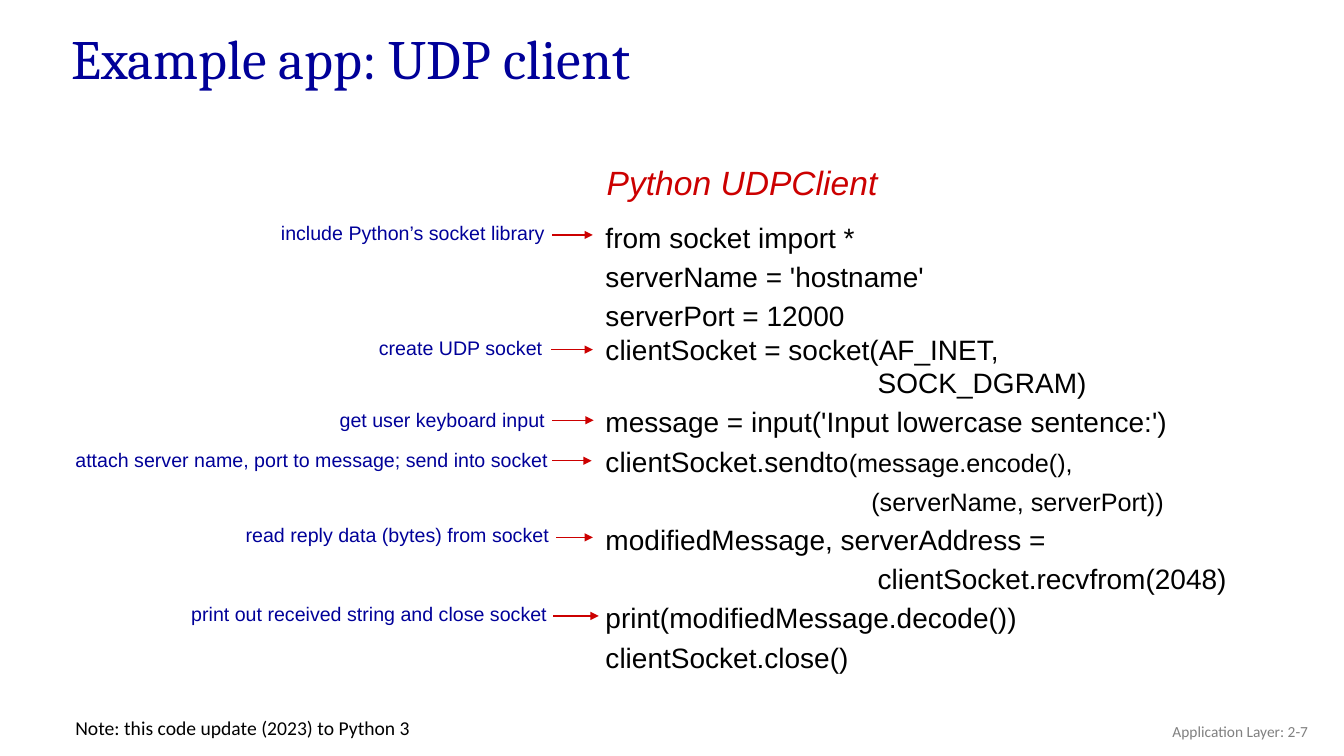
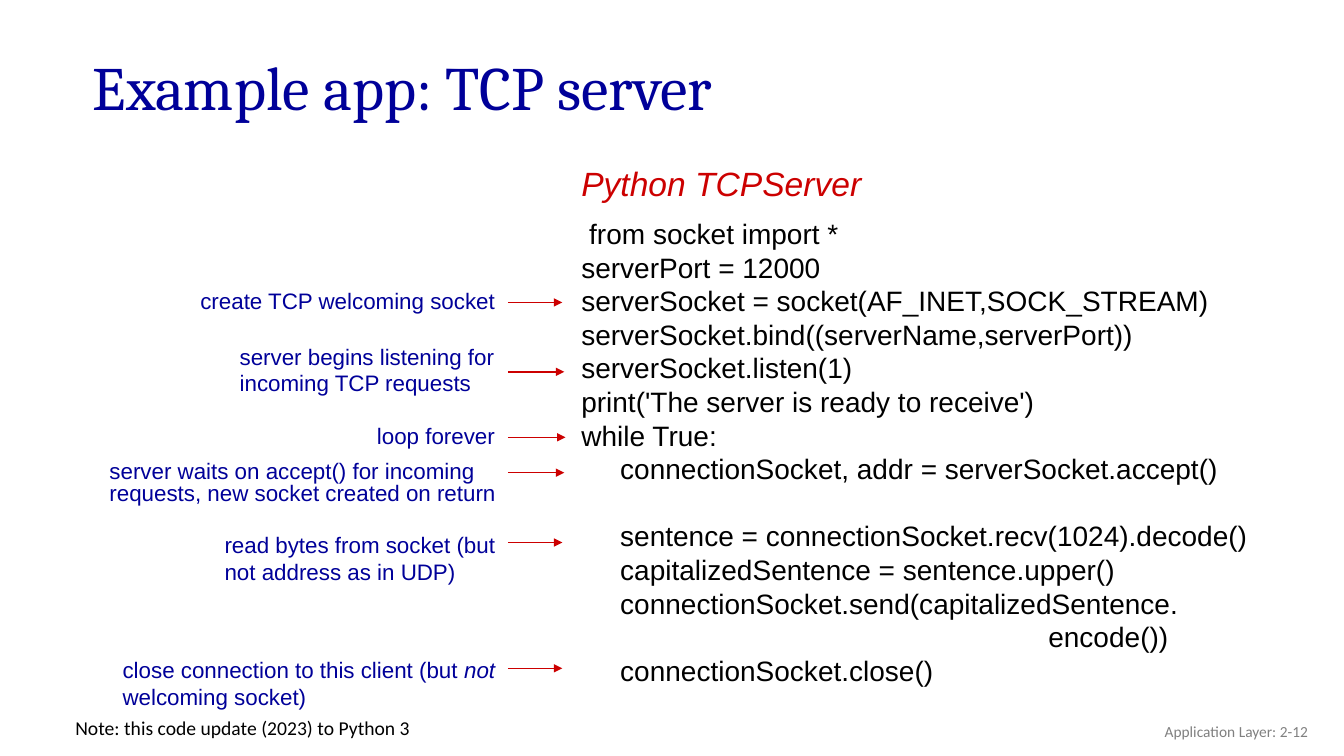
from lxml.etree import SubElement
from pptx import Presentation
from pptx.dml.color import RGBColor
from pptx.enum.shapes import MSO_CONNECTOR
from pptx.enum.text import MSO_ANCHOR, PP_ALIGN
from pptx.oxml.ns import qn
from pptx.util import Cm, Pt

BLUE = RGBColor(0x00, 0x00, 0x99)
RED = RGBColor(0xCC, 0x00, 0x00)
BLACK = RGBColor(0x00, 0x00, 0x00)
GRAY = RGBColor(0x80, 0x80, 0x80)
INSET = 0.25
CODE_SIZE = 20
WIDE_INDENT = 6.86
BLOCK_INDENT = 0.98

# Code line: runs of (text, size), left indent in cm, line spacing, space before in points
# Note: runs of (text, italic), left, top, arrow height, arrow start and end in cm, line spacing
SLIDES = [
    {
        "title": ("Example app: UDP client", 1.8, 0.61, 39.6),
        "heading": ("Python UDPClient", 15.04, 3.96),
        "page": "2-7",
        "code_at": (15.01, 5.28, 16.6, 11.86),
        "code": [
            ([("from socket import *", CODE_SIZE)], 0, 28, 0),
            ([("serverName = 'hostname'", CODE_SIZE)], 0, 28, 0),
            ([("serverPort = 12000", CODE_SIZE)], 0, 28, 0),
            ([("clientSocket = socket(AF_INET,", CODE_SIZE)], 0, 24, 0),
            ([("SOCK_DGRAM)", CODE_SIZE)], WIDE_INDENT, 24, 0),
            ([("message = input('Input lowercase sentence:')", CODE_SIZE)], 0, 28, 0),
            ([("clientSocket.sendto", CODE_SIZE), ("(message.encode(),", 18)], 0, 28, 0),
            ([("(serverName, serverPort))", 18)], 6.7, 28, 0),
            ([("modifiedMessage, serverAddress =", CODE_SIZE)], 0, 28, 0),
            ([("clientSocket.recvfrom(2048)", CODE_SIZE)], WIDE_INDENT, 28, 0),
            ([("print(modifiedMessage.decode())", CODE_SIZE)], 0, 28, 0),
            ([("clientSocket.close()", CODE_SIZE)], 0, 28, 0),
        ],
        "note_size": 14,
        "notes": [
            ([("include Python’s socket library", False)], 6.83, 5.46, 5.92, 13.92, 14.94, 16),
            ([("create UDP socket", False)], 9.3, 8.33, 8.81, 13.89, 14.94, None),
            ([("get user keyboard input", False)], 8.31, 10.19, 10.59, 13.92, 14.96, 16),
            ([("attach server name, port to message; send into socket", False)],
             1.65, 11.15, 11.61, 13.92, 14.91, None),
            ([("read reply data (bytes) from socket", False)],
             5.94, 13.06, 13.54, 14.02, 14.94, None),
            ([("print out received string and close socket", False)],
             4.57, 15.04, 15.52, 13.94, 15.09, None),
        ],
    },
    {
        "title": ("Example app: TCP server", 2.34, 1.24, 44),
        "heading": ("Python TCPServer", 14.4, 3.99),
        "page": "2-12",
        "code_at": (14.4, 5.33, 17.8, 12.22),
        "code": [
            ([("from socket import *", CODE_SIZE)], 0.2, None, 0),
            ([("serverPort = 12000", CODE_SIZE)], 0, None, 0),
            ([("serverSocket = socket(AF_INET,SOCK_STREAM)", CODE_SIZE)], 0, None, 0),
            ([("serverSocket.bind((serverName,serverPort))", CODE_SIZE)], 0, None, 0),
            ([("serverSocket.listen(1)", CODE_SIZE)], 0, None, 0),
            ([("print('The server is ready to receive')", CODE_SIZE)], 0, None, 0),
            ([("while True:", CODE_SIZE)], 0, None, 0),
            ([("connectionSocket, addr = serverSocket.accept()", CODE_SIZE)],
             BLOCK_INDENT, None, 0),
            ([("sentence = connectionSocket.recv(1024).decode()", CODE_SIZE)],
             BLOCK_INDENT, None, 24),
            ([("capitalizedSentence = sentence.upper()", CODE_SIZE)], BLOCK_INDENT, None, 0),
            ([("connectionSocket.send(capitalizedSentence.", CODE_SIZE)],
             BLOCK_INDENT, None, 0),
            ([("encode())", CODE_SIZE)], 11.77, None, 0),
            ([("connectionSocket.close()", CODE_SIZE)], BLOCK_INDENT, None, 0),
        ],
        "note_size": 16,
        "notes": [
            ([("create TCP welcoming socket", False)], 4.8, 7.11, 7.62, 12.8, 14.17, None),
            ([("server begins listening for incoming TCP requests", False)],
             5.79, 8.51, 9.37, 12.8, 14.22, None),
            ([("loop forever", False)], 9.25, 10.62, 11.02, 12.8, 14.25, 16),
            ([("server waits on accept() for incoming requests, "
               "new socket created on return", False)],
             2.51, 11.51, 11.91, 12.8, 14.22, 16),
            ([("read bytes from socket (but not address as in UDP)", False)],
             5.41, 13.26, 13.67, 12.8, 14.17, None),
            ([("close connection to this client (but ", False), ("not", True),
              (" welcoming socket)", False)],
             2.84, 16.41, 16.84, 12.8, 14.17, None),
        ],
    },
]


def add_text_frame(slide, left, top, width, height):
    text_frame = slide.shapes.add_textbox(Cm(left), Cm(top), Cm(width), Cm(height)).text_frame
    text_frame.word_wrap = True
    return text_frame


def add_run(paragraph, text, size, color, font="Arial", italic=False):
    run = paragraph.add_run()
    run.text = text
    run.font.name = font
    run.font.size = Pt(size)
    run.font.color.rgb = color
    run.font.italic = italic


presentation = Presentation()
presentation.slide_width = Cm(33.87)
presentation.slide_height = Cm(19.05)

for content in SLIDES:
    slide = presentation.slides.add_slide(presentation.slide_layouts[6])

    title, left, top, size = content["title"]
    text_frame = add_text_frame(slide, left, top, 29.2, 1.8)
    text_frame.margin_left = text_frame.margin_right = 0
    text_frame.margin_top = text_frame.margin_bottom = 0
    add_run(text_frame.paragraphs[0], title, size, BLUE, "Cambria")

    heading, left, top = content["heading"]
    text_frame = add_text_frame(slide, left, top, 9, 1.3)
    add_run(text_frame.paragraphs[0], heading, 24, RED, italic=True)

    text_frame = add_text_frame(slide, *content["code_at"])
    for index, (runs, indent, spacing, space_before) in enumerate(content["code"]):
        paragraph = text_frame.add_paragraph() if index else text_frame.paragraphs[0]
        if spacing:
            paragraph.line_spacing = Pt(spacing)
        if space_before:
            paragraph.space_before = Pt(space_before)
        if indent:
            properties = paragraph._p.get_or_add_pPr()
            properties.set("marL", str(Cm(indent)))
            properties.set("indent", "0")
        for text, size in runs:
            add_run(paragraph, text, size, BLACK)

    for runs, left, top, arrow_y, start, end, spacing in content["notes"]:
        text_frame = add_text_frame(slide, left, top, start + INSET - left, 0.85)
        paragraph = text_frame.paragraphs[0]
        if spacing:
            paragraph.line_spacing = Pt(spacing)
        for text, italic in runs:
            add_run(paragraph, text, content["note_size"], BLUE, italic=italic)

        arrow = slide.shapes.add_connector(
            MSO_CONNECTOR.STRAIGHT, Cm(start), Cm(arrow_y), Cm(end), Cm(arrow_y))
        arrow.line.color.rgb = RED
        arrow.line.width = Pt(1)
        SubElement(arrow.line._get_or_add_ln(), qn("a:tailEnd"), type="triangle")
        SubElement(arrow._element.spPr, qn("a:effectLst"))

    text_frame = add_text_frame(slide, 25.6, 17.91, 7.62, 1.02)
    text_frame.vertical_anchor = MSO_ANCHOR.MIDDLE
    paragraph = text_frame.paragraphs[0]
    paragraph.alignment = PP_ALIGN.RIGHT
    add_run(paragraph, f"Application Layer: {content['page']}", 11, GRAY, "Calibri")

    text_frame = add_text_frame(slide, 1.65, 17.91, 9.2, 0.86)
    add_run(text_frame.paragraphs[0], "Note: this code update (2023) to Python 3",
            14, BLACK, "Calibri")

presentation.save("out.pptx")
